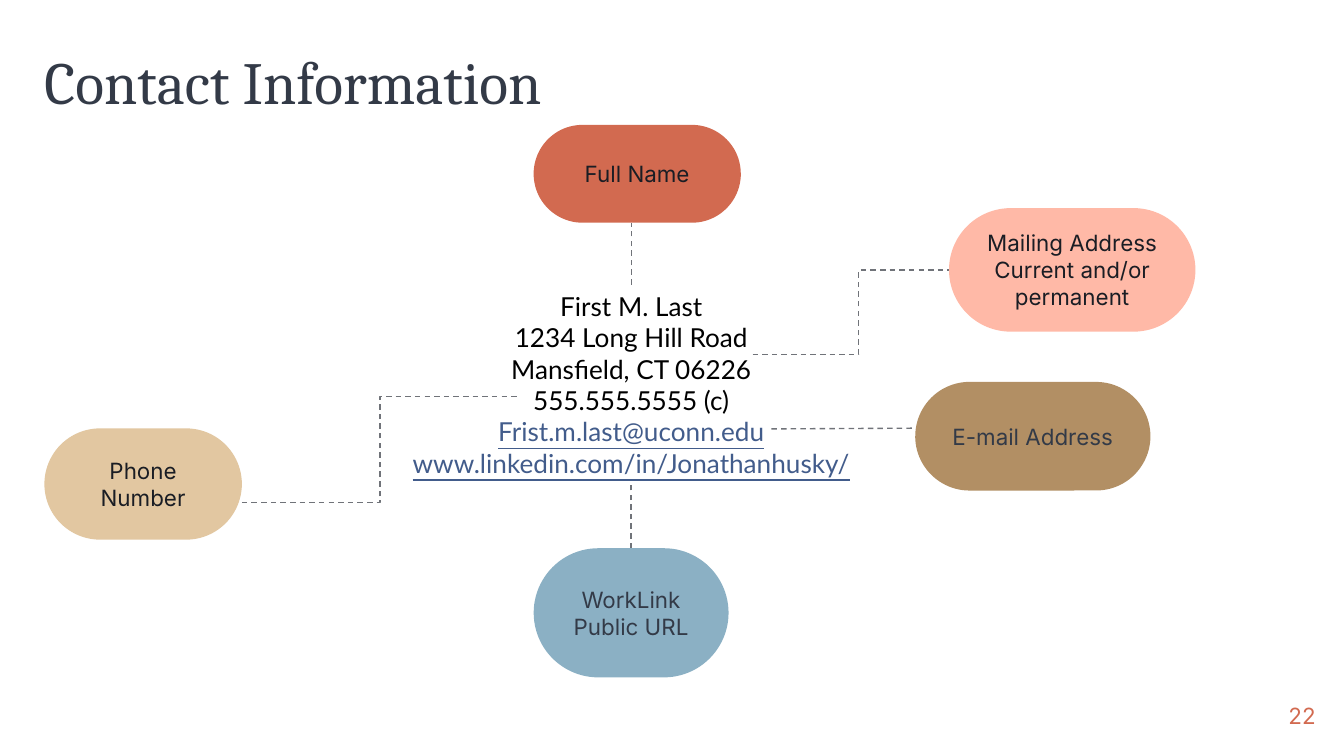
from dataclasses import dataclass

from lxml import etree
from pptx import Presentation
from pptx.dml.color import RGBColor
from pptx.enum import dml, shapes, text
from pptx.oxml import ns
from pptx.util import Pt


@dataclass(frozen=True)
class Theme:
    slate: str = "333A47"
    ink: str = "1A1D24"
    black: str = "000000"
    link: str = "425C8B"
    rule: str = "707379"
    coral: str = "D26A50"
    blush: str = "FFB9A7"
    brown: str = "B28F64"
    sand: str = "E2C7A1"
    blue: str = "8BB0C4"
    heading_font: str = "Cambria"
    label_font: str = "Inter"
    body_font: str = "Lato"
    heading_size: int = 32
    label_size: int = 12
    body_size: int = 14


THEME = Theme()


def write(frame, lines, font, size, align, margins, anchor):
    """Write (words, colour, underlined) lines, one paragraph each."""
    frame.word_wrap = True
    frame.vertical_anchor = anchor
    frame.margin_left = frame.margin_right = Pt(margins[0])
    frame.margin_top = frame.margin_bottom = Pt(margins[1])
    for index, (words, colour, underlined) in enumerate(lines):
        para = frame.add_paragraph() if index else frame.paragraphs[0]
        para.alignment = align
        span = para.add_run()
        span.text = words
        span.font.name = font
        span.font.size = Pt(size)
        span.font.color.rgb = RGBColor.from_string(colour)
        if underlined:
            span.font.underline = True


def add_label(page, box, words, colour, font, size, align):
    label = page.shapes.add_textbox(*map(Pt, box))
    write(label.text_frame, [(words, colour, False)], font, size, align,
          (0, 0), text.MSO_ANCHOR.MIDDLE)
    return label


def add_title(page, box):
    title = add_label(page, box, "Contact Information", THEME.slate,
                      THEME.heading_font, THEME.heading_size, text.PP_ALIGN.LEFT)
    title.text_frame.paragraphs[0].line_spacing = 0.9


def add_page_number(page, box):
    add_label(page, box, "22", THEME.coral, THEME.label_font,
              THEME.label_size, text.PP_ALIGN.RIGHT)


def add_contact_block(page, box):
    block = page.shapes.add_textbox(*map(Pt, box))
    lines = [(words, THEME.black, False) for words in (
        "First M. Last", "1234 Long Hill Road",
        "Mansfield, CT 06226", "555.555.5555 (c)")]
    lines += [(words, THEME.link, True) for words in (
        "Frist.m.last@uconn.edu", "www.linkedin.com/in/Jonathanhusky/")]
    write(block.text_frame, lines, THEME.body_font, THEME.body_size,
          text.PP_ALIGN.CENTER, (7.2, 3.6), text.MSO_ANCHOR.TOP)


def add_pill(page, box, words, fill, colour):
    pill = page.shapes.add_shape(shapes.MSO_SHAPE.ROUNDED_RECTANGLE, *map(Pt, box))
    pill.adjustments[0] = 0.5
    pill.shadow.inherit = False
    pill.fill.solid()
    pill.fill.fore_color.rgb = RGBColor.from_string(fill)
    pill.line.fill.background()
    write(pill.text_frame, [(line, colour, False) for line in words],
          THEME.label_font, THEME.label_size, text.PP_ALIGN.CENTER,
          (7.2, 7.2), text.MSO_ANCHOR.MIDDLE)
    return pill


def add_link(page, kind, start, end):
    link = page.shapes.add_connector(kind, *map(Pt, (*start, *end)))
    link.line.color.rgb = RGBColor.from_string(THEME.rule)
    link.line.width = Pt(0.75)
    link.line.dash_style = dml.MSO_LINE.DASH
    etree.SubElement(link.element.spPr, ns.qn("a:effectLst"))
    return link


def add_contact_map(page, box):
    left, top, width, height = box
    straight, elbow = shapes.MSO_CONNECTOR.STRAIGHT, shapes.MSO_CONNECTOR.ELBOW

    def at(x, y):
        return left + x, top + y

    # Dashed links, behind the pills
    add_link(page, straight, at(314.6, 85.6), at(314.6, 52.5))
    add_link(page, straight, at(389.5, 162.9), at(466.5, 162.5))
    add_link(page, elbow, at(379.4, 123), at(493, 77.8))
    add_link(page, elbow, at(105.8, 202.3), at(254, 145.4))
    profile_link = add_link(page, straight, at(314.3, 227), at(314.3, 193))

    # Contact details in the middle
    add_contact_block(page, (*at(122.4, 85), 384, 126))

    # Pills naming each part
    pills = (
        ((262.1, 0, 111, 52.4), ["Full Name"], THEME.coral, THEME.ink),
        ((484.6, 44.6, 132, 66.2), ["Mailing Address", "Current and/or permanent"],
         THEME.blush, THEME.ink),
        ((466.5, 137.7, 126, 58.2), ["E-mail Address"], THEME.brown, THEME.slate),
        ((0, 162.6, 105.8, 59.6), ["Phone Number"], THEME.sand, THEME.ink),
        ((262.1, 226.8, 104.4, 69.2), ["WorkLink Public URL"], THEME.blue, THEME.slate),
    )
    for (x, y, pill_width, pill_height), words, fill, colour in pills:
        pill = add_pill(page, (*at(x, y), pill_width, pill_height), words, fill, colour)
    profile_link.begin_connect(pill, 0)


def main():
    deck = Presentation()
    deck.slide_width, deck.slide_height = Pt(720), Pt(405)
    page = deck.slides.add_slide(deck.slide_layouts[6])
    add_title(page, (23.8, 24.5, 356.4, 42.5))
    add_contact_map(page, (23.8, 66.9, 616.6, 296))
    add_page_number(page, (661.7, 368, 43.2, 31))
    deck.save("out.pptx")


if __name__ == "__main__":
    main()
